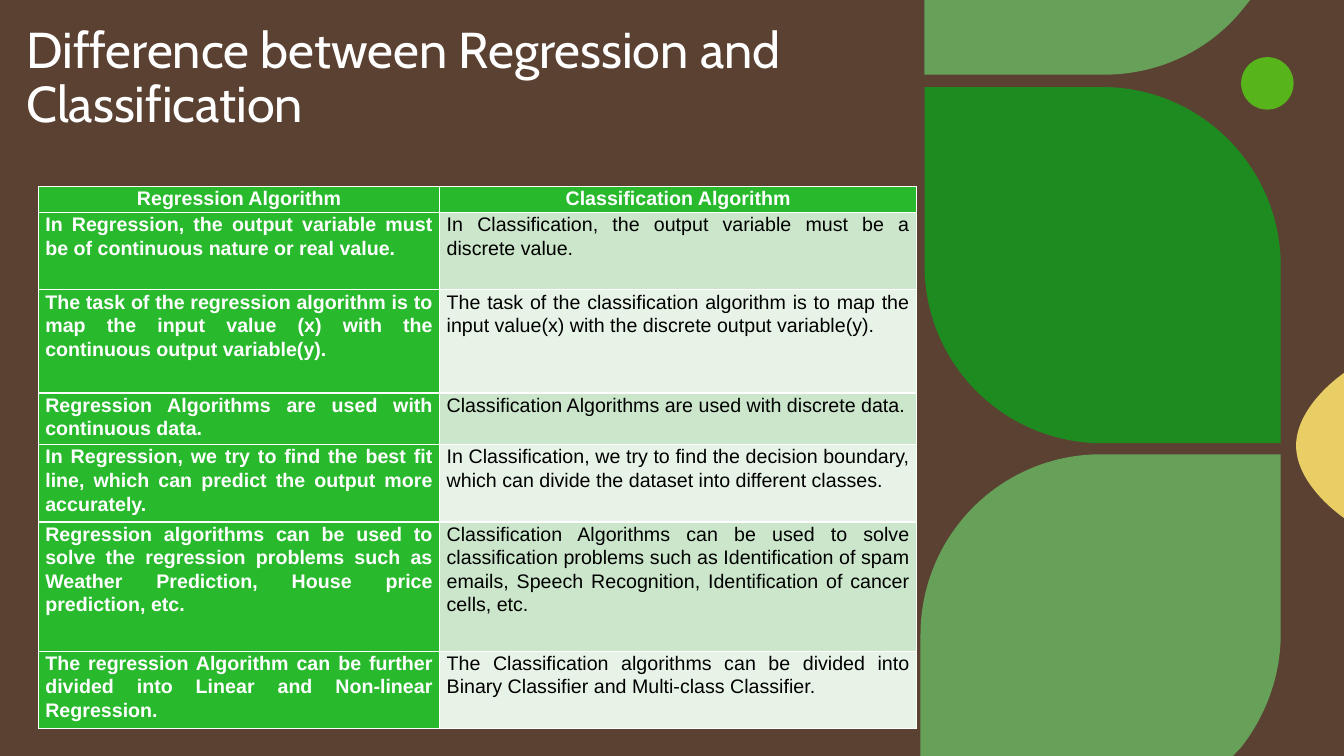
from lxml import etree
from pptx import Presentation
from pptx.dml.color import RGBColor as RGB
from pptx.enum.shapes import MSO_SHAPE as SHAPE
from pptx.enum.text import MSO_ANCHOR as ANCHOR, PP_ALIGN as ALIGN
from pptx.oxml.ns import qn
from pptx.util import Pt

COLORS = {
    "backdrop": "412F24", "tint": "815E48", "dot": "57B51B", "mint": "70E174",
    "leaf": "1D8B20", "sun": "E9CD65", "white": "FFFFFF", "black": "000000",
    "head": "28BA2C", "band": "CBE6CB", "pale": "E7F3E7",
}


def paint(sp, color, alpha=100):
    sp.shadow.inherit = False
    sp.fill.solid()
    sp.fill.fore_color.rgb = RGB.from_string(COLORS[color])
    sp.line.fill.background()
    if alpha < 100:
        clr = sp._element.spPr.find(qn("a:solidFill"))[0]
        etree.SubElement(clr, qn("a:alpha"), val=str(alpha * 1000))


def write(p, text, color, para, font):
    for name, value in para.items():
        setattr(p, name, value)
    r = p.add_run()
    r.text = text
    for name, value in font.items():
        setattr(r.font, name, value)
    r.font.color.rgb = RGB.from_string(COLORS[color])


prs = Presentation()
prs.slide_width, prs.slide_height = Pt(960), Pt(540)
s = prs.slides.add_slide(prs.slide_layouts[6])
s.background.fill.solid()
s.background.fill.fore_color.rgb = RGB.from_string(COLORS["backdrop"])

presets = [
    (SHAPE.RECTANGLE, (0, 0, 960, 540), "tint", 40),
    (SHAPE.OVAL, (886.5, 40.8, 37.5, 37.5), "dot", 100),
]
for kind, box, color, alpha in presets:
    paint(s.shapes.add_shape(kind, *map(Pt, box)), color, alpha)

outlines = [
    ("mint", 60, [
        [(660.4, 0)], [(893, 0)], [(887.8, 6.5)],
        [(864.7, 35.3), (828.7, 53.4), (788.4, 53.4)], [(660.4, 53.4)]]),
    ("mint", 60, [
        [(786.5, 324.5)], [(914.8, 324.5)], [(914.8, 453)],
        [(914.8, 483.8), (903.6, 512.6), (885.6, 535)], [(880.6, 540)],
        [(657.5, 540)], [(657.5, 453.6)],
        [(657.5, 382.3), (715, 324.5), (786.5, 324.5)]]),
    ("sun", 100, [
        [(960, 266.4)], [(960, 370)],
        [(960, 370), (925.8, 347), (925.8, 318.3)],
        [(925.8, 289.4), (960, 266.4), (960, 266.4)]]),
    ("leaf", 100, [
        [(914.8, 316.6)], [(787.7, 316.6)],
        [(717.1, 316.6), (660.4, 259.9), (660.4, 189.4)],
        [(660.4, 62.2)], [(787.7, 62.2)],
        [(857.5, 62.2), (914.8, 119.5), (914.8, 190)]]),
]
for color, alpha, segments in outlines:
    points = [(Pt(x), Pt(y)) for segment in segments for x, y in segment]
    builder = s.shapes.build_freeform(*points[0], scale=1.0)
    builder.add_line_segments(points[1:], close=True)
    sp = builder.convert_to_shape()
    lines = iter(list(sp._element.iter(qn("a:lnTo"))))
    for segment in segments[1:]:
        group = [next(lines) for _ in segment]
        if len(group) == 3:
            curve = etree.Element(qn("a:cubicBezTo"))
            group[0].addprevious(curve)
            for line in group:
                curve.append(line[0])
                line.getparent().remove(line)
    paint(sp, color, alpha)

title = s.shapes.add_textbox(Pt(11.5), Pt(9.8), Pt(605), Pt(89.3))
tf = title.text_frame
tf.word_wrap = True
tf.vertical_anchor = ANCHOR.BOTTOM
write(tf.paragraphs[0], "Difference between Regression and Classification", "white",
      {"line_spacing": 0.9}, {"size": Pt(36), "name": "Cabin"})

rows = [
    (18.44, "Regression Algorithm", "Classification Algorithm"),
    (55.3, "In Regression, the output variable must be of continuous nature or real value.",
     "In Classification, the output variable must be a discrete value."),
    (73.75, "The task of the regression algorithm is to map the input value (x) with the continuous output variable(y).",
     "The task of the classification algorithm is to map the input value(x) with the discrete output variable(y)."),
    (36.88, "Regression Algorithms are used with continuous data.",
     "Classification Algorithms are used with discrete data."),
    (55.3, "In Regression, we try to find the best fit line, which can predict the output more accurately.",
     "In Classification, we try to find the decision boundary, which can divide the dataset into different classes."),
    (92.2, "Regression algorithms can be used to solve the regression problems such as Weather Prediction, House price prediction, etc.",
     "Classification Algorithms can be used to solve classification problems such as Identification of spam emails, Speech Recognition, Identification of cancer cells, etc."),
    (55.3, "The regression Algorithm can be further divided into Linear and Non-linear Regression.",
     "The Classification algorithms can be divided into Binary Classifier and Multi-class Classifier."),
]
widths = (286.7, 340.6)
height = sum(row[0] for row in rows)
table = s.shapes.add_table(len(rows), len(widths), Pt(27.5), Pt(133.3),
                           Pt(sum(widths)), Pt(height)).table
table.first_col = True
for column, width in zip(table.columns, widths):
    column.width = Pt(width)

margins = {"margin_left": Pt(4.9), "margin_right": Pt(4.9), "margin_top": 0, "margin_bottom": 0}
for i, (row_height, *texts) in enumerate(rows):
    table.rows[i].height = Pt(row_height)
    for j, text in enumerate(texts):
        cell = table.cell(i, j)
        for name, value in margins.items():
            setattr(cell, name, value)
        strong = i == 0 or j == 0
        cell.fill.solid()
        fill = "head" if strong else "band" if i % 2 else "pale"
        cell.fill.fore_color.rgb = RGB.from_string(COLORS[fill])
        write(cell.text_frame.paragraphs[0], text, "white" if strong else "black",
              {"line_spacing": 1.07, "alignment": ALIGN.JUSTIFY if i else ALIGN.CENTER},
              {"size": Pt(14), "name": "Arial", "bold": strong})

prs.save("out.pptx")
